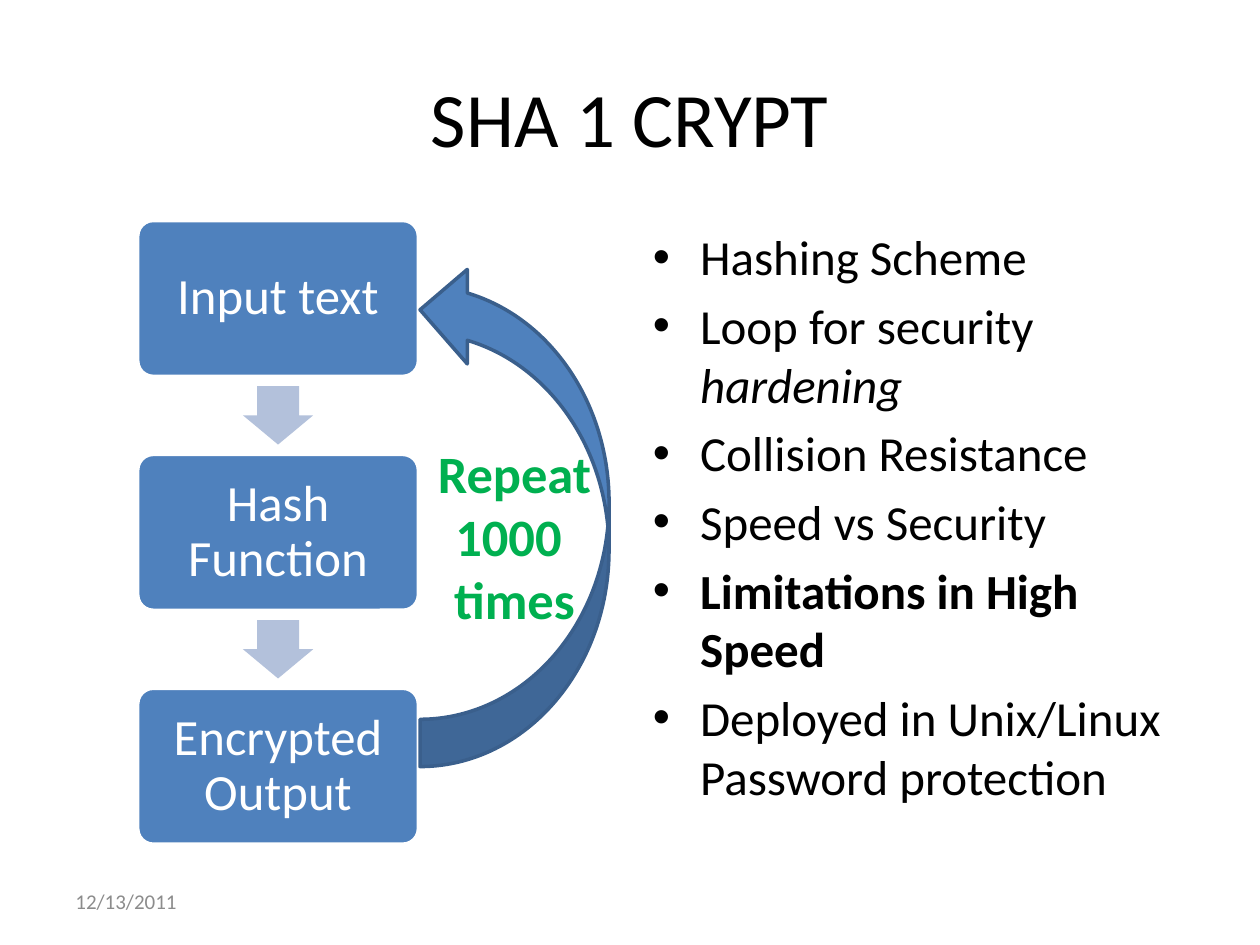
from lxml import etree
from pptx import Presentation
from pptx.dml.color import RGBColor
from pptx.enum import shapes, text
from pptx.oxml.ns import qn
from pptx.util import Pt

TITLE = "SHA 1 CRYPT"
STEPS = ["Input text", "Hash Function", "Encrypted Output"]
BULLETS = [
    [("Hashing Scheme", {})],
    [("Loop for security ", {}), ("hardening", {"italic": True})],
    [("Collision Resistance", {})],
    [("Speed vs Security", {})],
    [("Limitations in High Speed", {"bold": True})],
    [("Deployed in Unix/Linux Password protection", {})],
]
REPEAT = ["Repeat 1000 ", "times"]
DATE = "12/13/2011"

BLUE, PALE, EDGE, GREEN, GREY = "4F81BD", "B3C1DB", "3A5F8C", "00B050", "8C8C8C"
STEP_X, STEP_Y, STEP_W, STEP_H, PITCH = 78.7, 126, 160.4, 89.1, 133.65
DOWN_W, DOWN_H = 40.1, 33.4

MIDDLE = text.MSO_ANCHOR.MIDDLE
CENTER, LEFT = text.PP_ALIGN.CENTER, text.PP_ALIGN.LEFT
KIND = shapes.MSO_SHAPE


def rgb(color):
    return RGBColor.from_string(color)


def write(sp, paragraphs, size, color="000000", align=LEFT, anchor=MIDDLE,
          inset=(7.2, 3.6), bold=False, spacing=None, before=0, bullet=None):
    tf = sp.text_frame
    tf.word_wrap = True
    tf.auto_size = text.MSO_AUTO_SIZE.NONE
    tf.vertical_anchor = anchor
    tf.margin_left = tf.margin_right = Pt(inset[0])
    tf.margin_top = tf.margin_bottom = Pt(inset[1])
    for i, runs in enumerate(paragraphs):
        p = tf.paragraphs[0] if i == 0 else tf.add_paragraph()
        p.alignment = align
        p.space_before = Pt(before)
        if spacing:
            p.line_spacing = spacing
        if bullet:
            pPr = p._p.get_or_add_pPr()
            pPr.set("marL", str(Pt(27)))
            pPr.set("indent", str(Pt(-27)))
            etree.SubElement(pPr, qn("a:buFont")).set("typeface", "Arial")
            etree.SubElement(pPr, qn("a:buChar")).set("char", bullet)
        for content, style in [(runs, {})] if isinstance(runs, str) else runs:
            r = p.add_run()
            r.text = content
            r.font.name = "Calibri"
            r.font.size = Pt(size)
            r.font.color.rgb = rgb(color)
            r.font.bold = style.get("bold", bold)
            r.font.italic = style.get("italic", False)


def add_shape(kind, box, fill, line=None, adj=()):
    sp = s.shapes.add_shape(kind, *map(Pt, box))
    sp.shadow.inherit = False
    sp.fill.solid()
    sp.fill.fore_color.rgb = rgb(fill)
    if line:
        sp.line.color.rgb = rgb(line)
        sp.line.width = Pt(2)
    else:
        sp.line.fill.background()
    for i, value in enumerate(adj):
        sp.adjustments[i] = value
    return sp


def add_text(box, paragraphs, size, **style):
    write(s.shapes.add_textbox(*map(Pt, box)), paragraphs, size, **style)


prs = Presentation()
prs.slide_width, prs.slide_height = Pt(720), Pt(540)
s = prs.slides.add_slide(prs.slide_layouts[5])

title = s.shapes.title
title.left, title.top, title.width, title.height = map(Pt, (36, 21.6, 648, 90))
write(title, [TITLE], 44, align=CENTER)

for i, step in enumerate(STEPS):
    y = STEP_Y + i * PITCH
    sp = add_shape(KIND.ROUNDED_RECTANGLE, (STEP_X, y, STEP_W, STEP_H), BLUE, "FFFFFF", [0.1])
    write(sp, [step], 29, "FFFFFF", CENTER, inset=(8.6, 8.6), spacing=0.9)
    if i < len(STEPS) - 1:
        x = STEP_X + (STEP_W - DOWN_W) / 2
        gap_y = y + STEP_H + (PITCH - STEP_H - DOWN_H) / 2
        add_shape(KIND.DOWN_ARROW, (x, gap_y, DOWN_W, DOWN_H), PALE, adj=[0.6, 0.5])

add_text((366, 126, 318, 356.4), BULLETS, 28, anchor=text.MSO_ANCHOR.TOP,
         before=5.6, bullet="\u2022")
add_text((36, 500.5, 168, 28.8), [DATE], 12, color=GREY)

loop = add_shape(KIND.CURVED_RIGHT_ARROW, (240, 150, 108, 288), BLUE, EDGE)
loop.rotation = 180
add_text((210, 264, 168, 84), REPEAT, 30, color=GREEN, align=CENTER, bold=True, inset=(12, 3.6))

prs.save("out.pptx")
